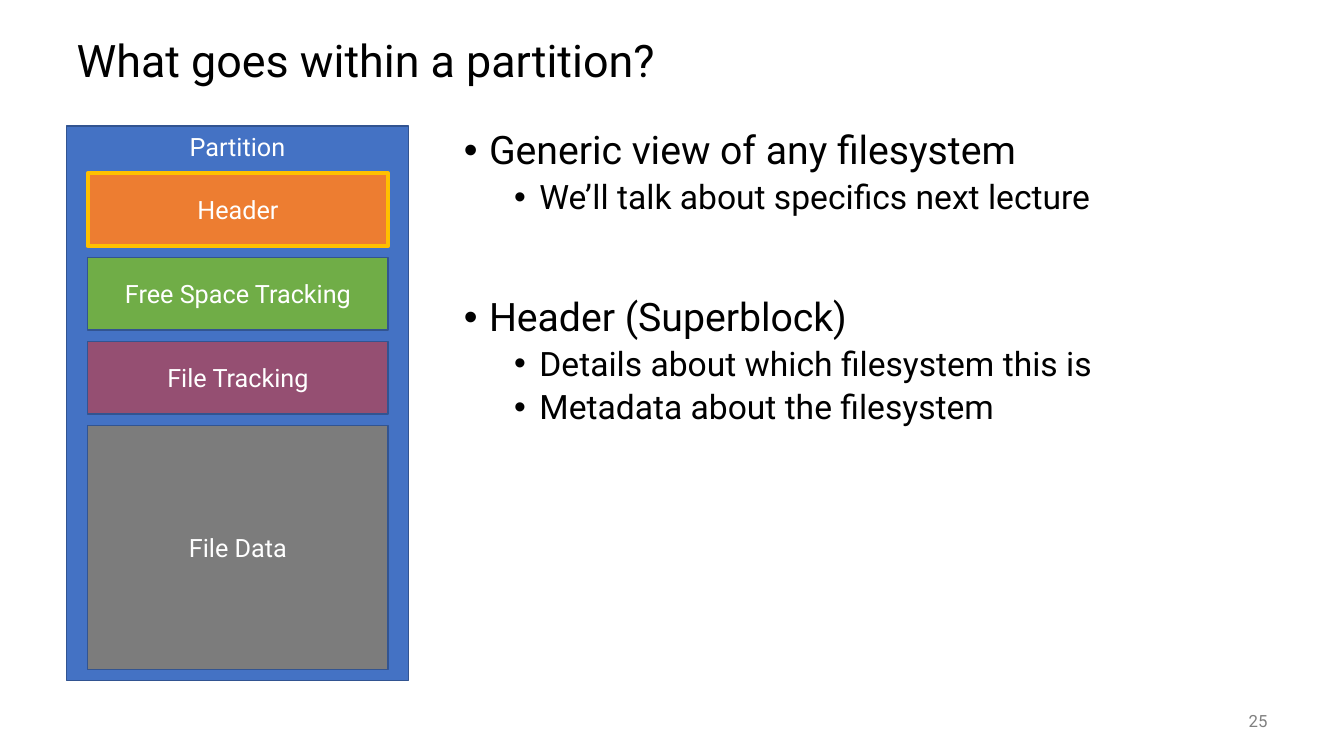
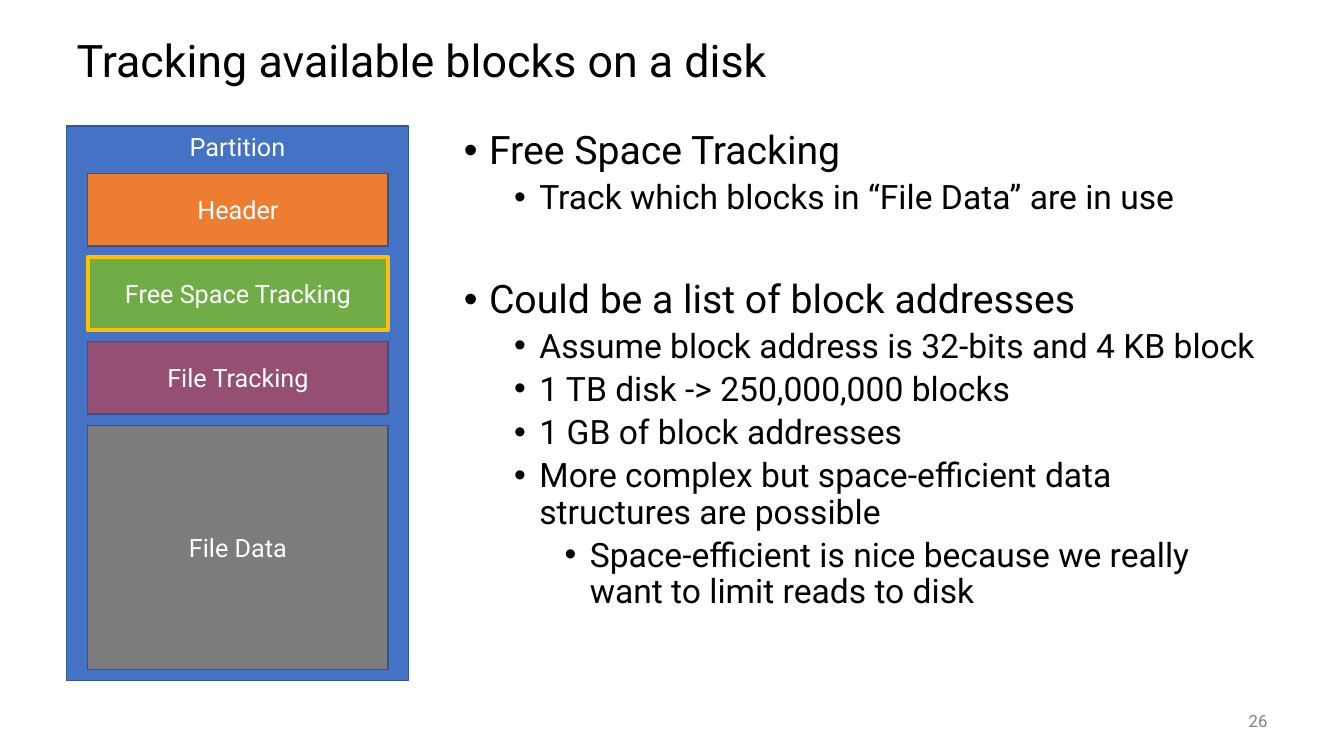
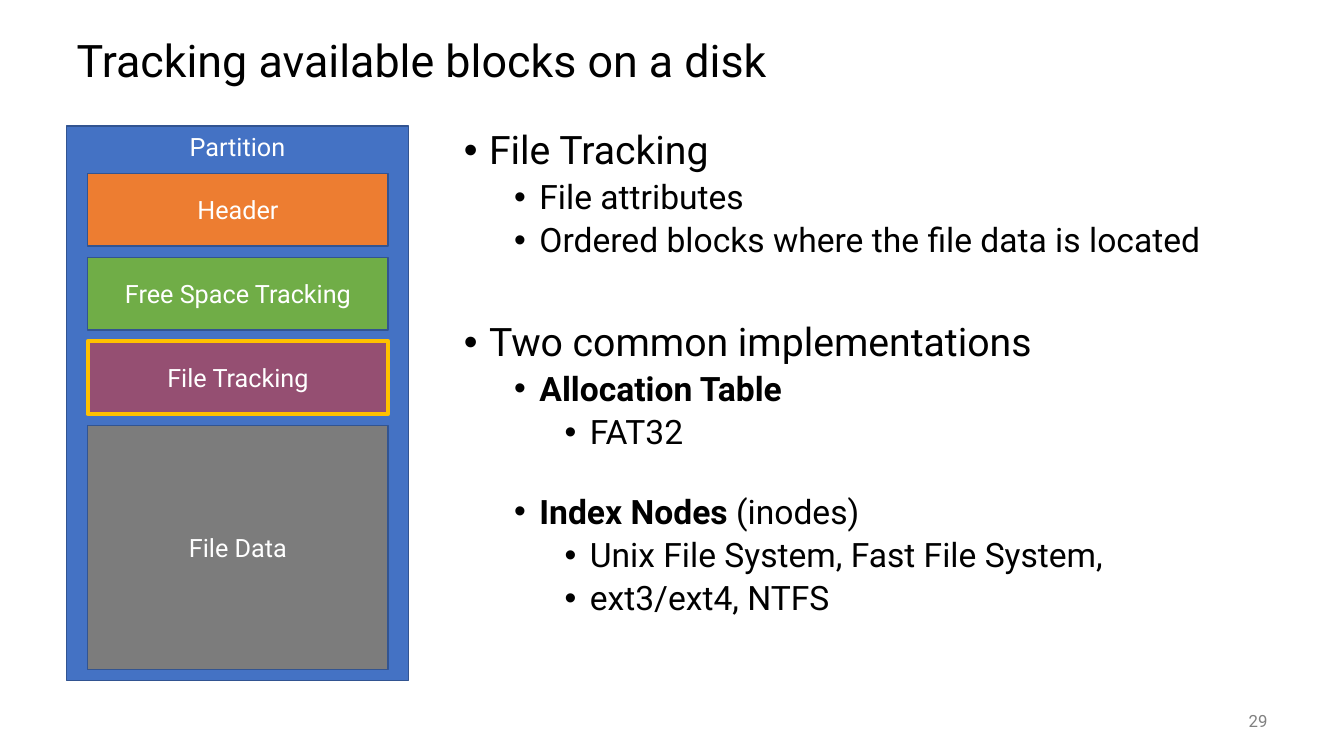
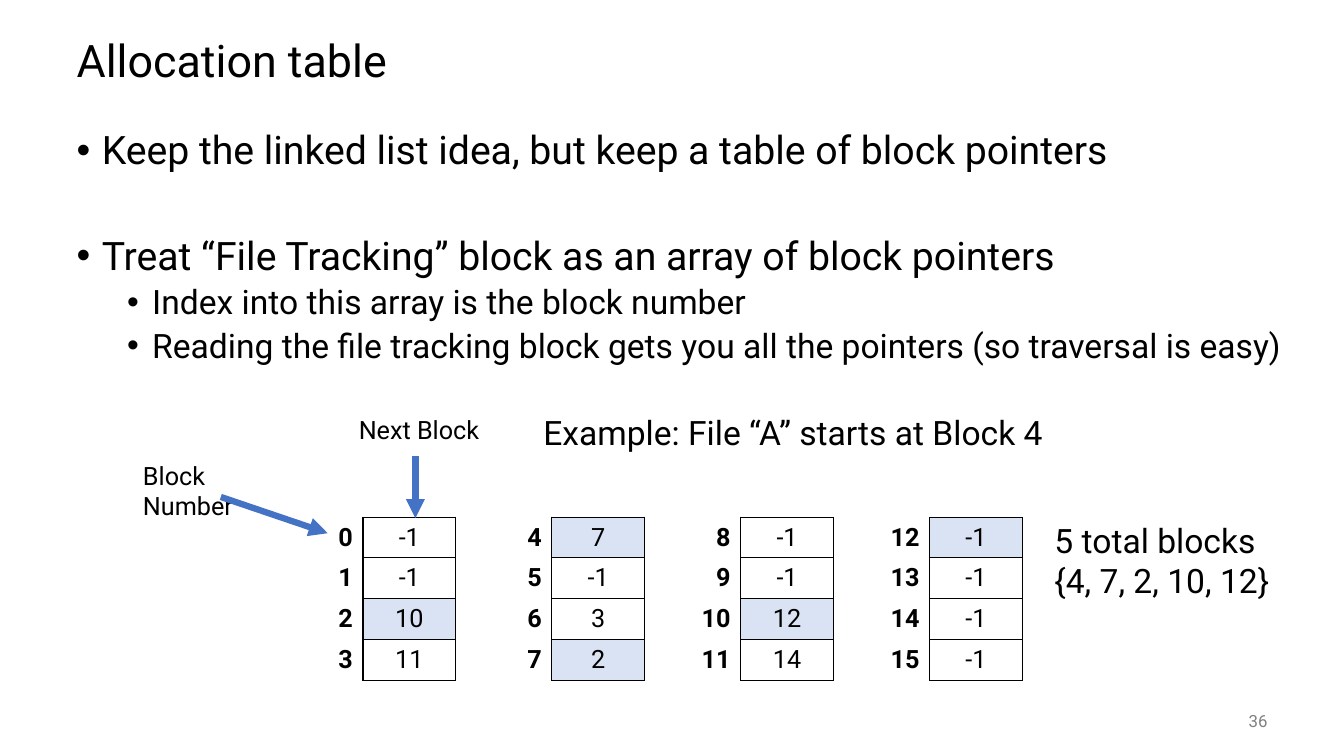
import lxml.etree
import pptx
import pptx.dml.color
import pptx.enum.shapes
import pptx.enum.text
import pptx.oxml.ns
import pptx.util

Inches = pptx.util.Inches
Pt = pptx.util.Pt
Align = pptx.enum.text.PP_ALIGN
Anchor = pptx.enum.text.MSO_ANCHOR
qn = pptx.oxml.ns.qn


def colour(code):
    return pptx.dml.color.RGBColor.from_string(code)


def lengths(*values):
    return [Inches(value) for value in values]


class Lecture:
    font = "Roboto"
    black, white, grey = "000000", "FFFFFF", "808080"
    blue, outline, highlight, used = "4472C4", "325491", "FFC000", "DAE3F3"
    title_area = (0.66, 0.25, 12, 0.75)
    number_area = (11.67, 6.95, 1, 0.4)
    side_area = (4.5, 1.25, 8.16, 5.5)
    wide_area = (0.66, 1.25, 12.31, 5.5)
    regions = [("Header", "ED7D31", 0.72), ("Free Space Tracking", "70AD47", 0.72),
               ("File Tracking", "954F72", 0.72), ("File Data", "7C7C7C", 2.42)]

    def __init__(self):
        self.deck = pptx.Presentation()
        self.deck.slide_width, self.deck.slide_height = lengths(13.33, 7.5)
        self.page = None

    def style(self, font, size, code, bold=False):
        font.name = self.font
        font.size = Pt(size)
        font.bold = bold
        font.color.rgb = colour(code)

    def set_text(self, frame, text, size, code=black, align=Align.LEFT, anchor=Anchor.TOP, bold=False):
        frame.text = text
        frame.word_wrap = True
        frame.vertical_anchor = anchor
        for para in frame.paragraphs:
            para.alignment = align
            for span in para.runs:
                self.style(span.font, size, code, bold)

    def place(self, shape, area):
        shape.left, shape.top, shape.width, shape.height = lengths(*area)
        shape.text_frame.auto_size = pptx.enum.text.MSO_AUTO_SIZE.NONE

    def start(self, title, number):
        self.page = self.deck.slides.add_slide(self.deck.slide_layouts[1])
        heading = self.page.shapes.title
        self.place(heading, self.title_area)
        self.set_text(heading.text_frame, title, 32, anchor=Anchor.MIDDLE)
        heading.text_frame.paragraphs[0].line_spacing = 0.9
        self.label(str(number), self.number_area, 12, self.grey, Align.RIGHT, Anchor.MIDDLE)

    def label(self, text, area, size, code=black, align=Align.LEFT, anchor=Anchor.TOP):
        box = self.page.shapes.add_textbox(*lengths(*area))
        self.set_text(box.text_frame, text, size, code, align, anchor)

    def bullets(self, area, items):
        body = self.page.placeholders[1]
        self.place(body, area)
        frame = body.text_frame
        for index, (level, text, *options) in enumerate(items):
            gap, bold_lead = options + [0, ""][len(options):]
            para = frame.add_paragraph() if index else frame.paragraphs[0]
            para.level = level
            properties = para._p.get_or_add_pPr()
            properties.set("marL", str(Inches(0.25 + 0.5 * level)))
            properties.set("indent", str(Inches(-0.25)))
            lxml.etree.SubElement(properties, qn("a:buChar")).set("char", "•")
            para.line_spacing = 0.9
            para.space_before = Pt((5 if level else 14) + gap if index else 0)
            for part, bold in ((bold_lead, True), (text, False)):
                if part:
                    span = para.add_run()
                    span.text = part
                    self.style(span.font, 24 if level else 28, self.black, bold)

    def block(self, group, text, area, fill, line, width, anchor):
        shape = group.shapes.add_shape(pptx.enum.shapes.MSO_SHAPE.RECTANGLE, *lengths(*area))
        shape.shadow.inherit = False
        shape.fill.solid()
        shape.fill.fore_color.rgb = colour(fill)
        shape.line.color.rgb = colour(line)
        shape.line.width = Pt(width)
        self.set_text(shape.text_frame, text, 18, self.white, Align.CENTER, anchor)

    def partition(self, active):
        group = self.page.shapes.add_group_shape()
        self.block(group, "Partition", (0.66, 1.25, 3.39, 5.5), self.blue, self.outline, 1, Anchor.TOP)
        for row, (name, fill, height) in enumerate(self.regions):
            line, width = (self.highlight, 3) if name == active else (self.outline, 1)
            area = (0.87, 1.72 + row * 2.5 / 3, 2.98, height)
            self.block(group, name, area, fill, line, width, Anchor.MIDDLE)

    def border(self, cell, sides):
        properties = cell._tc.get_or_add_tcPr()
        for position, side in enumerate(sides):
            line = lxml.etree.Element(qn("a:ln" + side), w=str(Pt(1)))
            fill = lxml.etree.SubElement(line, qn("a:solidFill"))
            lxml.etree.SubElement(fill, qn("a:srgbClr")).set("val", self.black)
            properties.insert(position, line)

    def block_table(self, left, first, pointers, chain):
        area = lengths(left, 5.13, 1.45, 1.62)
        table = self.page.shapes.add_table(len(pointers), 2, *area).table
        table.first_row = table.horz_banding = False
        table.columns[0].width, table.columns[1].width = lengths(0.53, 0.92)
        for row, pointer in enumerate(pointers):
            number = first + row
            index_cell, pointer_cell = table.cell(row, 0), table.cell(row, 1)
            for cell, value, align, bold in ((index_cell, number, Align.RIGHT, True),
                                             (pointer_cell, pointer, Align.CENTER, False)):
                self.set_text(cell.text_frame, str(value), 18, align=align, bold=bold)
                cell.vertical_anchor = Anchor.MIDDLE
                cell.fill.background()
            if number in chain:
                pointer_cell.fill.solid()
                pointer_cell.fill.fore_color.rgb = colour(self.used)
            self.border(index_cell, "R")
            self.border(pointer_cell, "LRTB")

    def arrow(self, *ends):
        straight = pptx.enum.shapes.MSO_CONNECTOR.STRAIGHT
        connector = self.page.shapes.add_connector(straight, *lengths(*ends))
        connector.line.color.rgb = colour(self.blue)
        connector.line.width = Pt(4.5)
        properties = connector._element.spPr
        line = properties.find(qn("a:ln"))
        lxml.etree.SubElement(line, qn("a:tailEnd")).set("type", "triangle")
        lxml.etree.SubElement(properties, qn("a:effectLst"))


def main():
    lecture = Lecture()
    partition_pages = [
        ("What goes within a partition?", 25, "Header", [
            (0, "Generic view of any filesystem"),
            (1, "We’ll talk about specifics next lecture"),
            (0, "Header (Superblock)", 44),
            (1, "Details about which filesystem this is"),
            (1, "Metadata about the filesystem"),
        ]),
        ("Tracking available blocks on a disk", 26, "Free Space Tracking", [
            (0, "Free Space Tracking"),
            (1, "Track which blocks in “File Data” are in use"),
            (0, "Could be a list of block addresses", 31),
            (1, "Assume block address is 32-bits and 4 KB block"),
            (1, "1 TB disk -> 250,000,000 blocks"),
            (1, "1 GB of block addresses"),
            (1, "More complex but space-efficient data structures are possible"),
            (2, "Space-efficient is nice because we really want to limit reads to disk"),
        ]),
        ("Tracking available blocks on a disk", 29, "File Tracking", [
            (0, "File Tracking"),
            (1, "File attributes"),
            (1, "Ordered blocks where the file data is located"),
            (0, "Two common implementations", 31),
            (1, "", 0, "Allocation Table"),
            (2, "FAT32"),
            (1, "(inodes)", 26, "Index Nodes "),
            (2, "Unix File System, Fast File System,"),
            (2, "ext3/ext4, NTFS"),
        ]),
    ]
    for title, number, active, items in partition_pages:
        lecture.start(title, number)
        lecture.bullets(lecture.side_area, items)
        lecture.partition(active)

    lecture.start("Allocation table", 36)
    lecture.bullets(lecture.wide_area, [
        (0, "Keep the linked list idea, but keep a table of block pointers"),
        (0, "Treat “File Tracking” block as an array of block pointers", 31),
        (1, "Index into this array is the block number"),
        (1, "Reading the file tracking block gets you all the pointers (so traversal is easy)"),
    ])
    pointers = [-1, -1, 10, 11, 7, -1, 3, 2, -1, -1, 12, 14, -1, -1, -1, -1]
    chain = {4, 7, 2, 10, 12}
    for column in range(4):
        first = 4 * column
        lecture.block_table(3.07 + column * 5.62 / 3, first, pointers[first:first + 4], chain)
    lecture.label("Block Number", (1.32, 4.52, 1.5, 0.7), 18)
    lecture.label("Next Block", (3.46, 4.06, 1.75, 0.4), 18)
    lecture.arrow(2.19, 4.93, 3.25, 5.29)
    lecture.arrow(4.12, 4.52, 4.12, 5.14)
    lecture.label("Example: File “A” starts at Block 4", (5.29, 4.04, 5.43, 0.5), 24)
    lecture.label("5 total blocks\n{4, 7, 2, 10, 12}", (10.36, 5.11, 2.61, 0.91), 24)
    lecture.deck.save("out.pptx")


if __name__ == "__main__":
    main()
